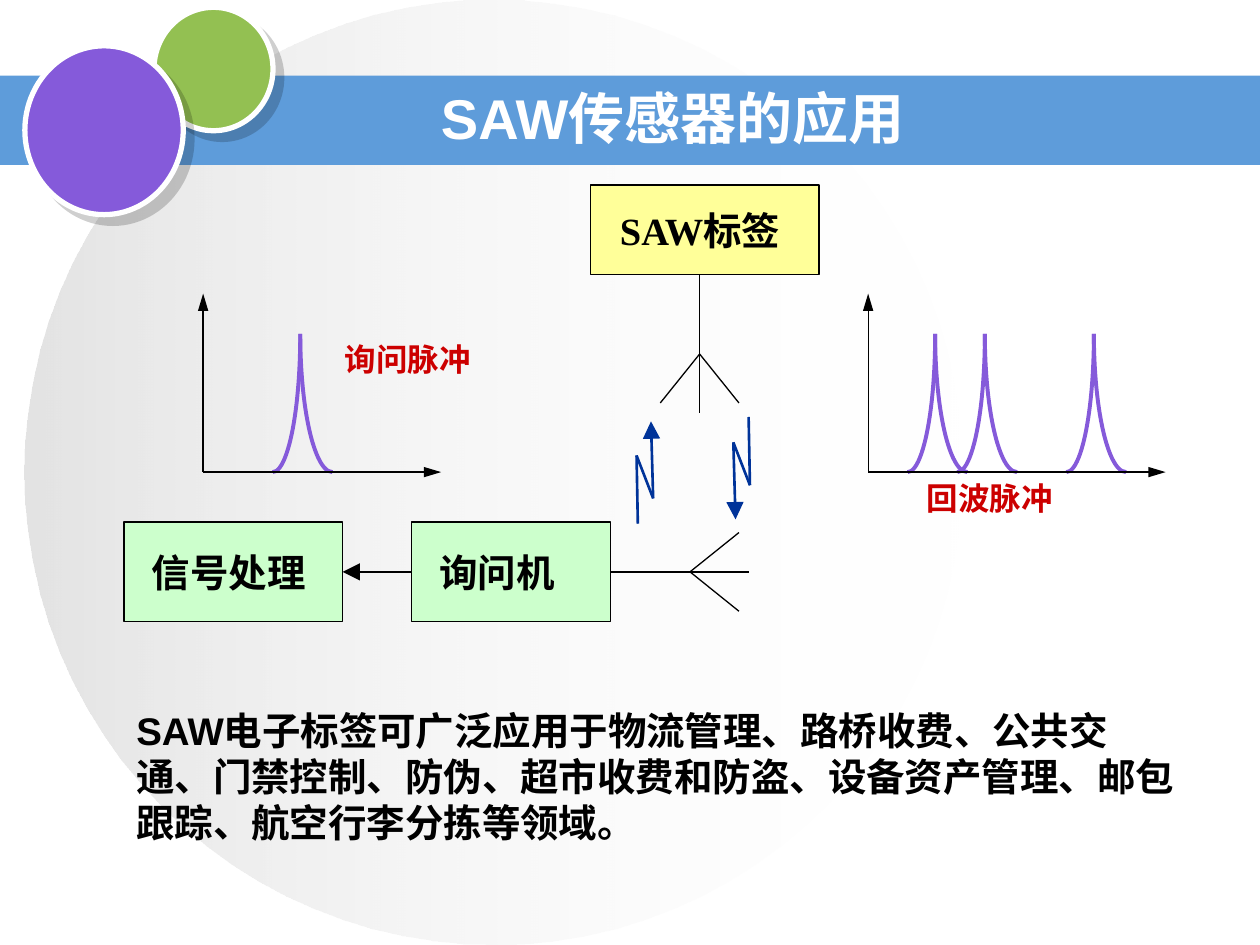
from dataclasses import dataclass

from lxml.etree import SubElement
from pptx import Presentation
from pptx.dml.color import RGBColor
from pptx.enum.shapes import MSO_CONNECTOR, MSO_SHAPE
from pptx.enum.text import MSO_ANCHOR as ANCHOR, PP_ALIGN as ALIGN
from pptx.oxml.ns import qn
from pptx.util import Pt


@dataclass(frozen=True)
class Theme:
    white: str = "FFFFFF"
    black: str = "000000"
    haze_light: str = "FEFEFE"
    haze_dark: str = "C0C0C0"
    band: str = "5E9CDA"
    green: str = "93C052"
    purple: str = "855ADA"
    device: str = "CCFFCC"
    tag: str = "FFFF99"
    signal: str = "003399"
    caption: str = "CC0000"
    font: str = "Arial"
    tag_font: str = "Times New Roman"
    title_size: float = 32
    body_size: float = 22
    caption_size: float = 18
    thin: float = 0.75
    signal_width: float = 1.5
    pulse_width: float = 2.25
    rim: float = 3


THEME = Theme()


def rgb(value):
    return RGBColor.from_string(value)


def write(shape, text, *, size=THEME.body_size, color=THEME.black, font=THEME.font,
          align=ALIGN.LEFT, anchor=ANCHOR.TOP, wrap=True, left=7.2, right=7.2):
    frame = shape.text_frame
    frame.word_wrap = wrap
    frame.vertical_anchor = anchor
    frame.margin_left, frame.margin_right = Pt(left), Pt(right)
    frame.margin_top = frame.margin_bottom = Pt(3.6)
    paragraph = frame.paragraphs[0]
    paragraph.alignment = align
    paragraph._p.get_or_add_pPr().set("hangingPunct", "0")
    run = paragraph.add_run()
    run.text = text
    run.font.name, run.font.size, run.font.bold = font, Pt(size), True
    run.font.color.rgb = rgb(color)


def add_text(slide, box, text, **style):
    write(slide.shapes.add_textbox(*map(Pt, box)), text, **style)


def add_shape(slide, kind, box, fill=None, line=None, width=THEME.thin):
    shape = slide.shapes.add_shape(kind, *map(Pt, box))
    shape.shadow.inherit = False
    if fill:
        shape.fill.solid()
        shape.fill.fore_color.rgb = rgb(fill)
    else:
        shape.fill.background()
    if line:
        shape.line.color.rgb = rgb(line)
        shape.line.width = Pt(width)
    else:
        shape.line.fill.background()
    return shape


def add_line(slide, start, end, color=THEME.black, width=THEME.thin, head=None):
    """head is the arrowhead's (width, length) at the end point."""
    line = slide.shapes.add_connector(MSO_CONNECTOR.STRAIGHT, *map(Pt, (*start, *end)))
    line.line.color.rgb = rgb(color)
    line.line.width = Pt(width)
    if head:
        SubElement(line.line._get_or_add_ln(), qn("a:tailEnd"),
                   type="triangle", w=head[0], len=head[1])
    SubElement(line._element.spPr, qn("a:effectLst"))
    return line


def add_alpha(color_element, percent):
    SubElement(color_element, qn("a:alpha"), val=str(percent * 1000))


def add_haze(slide, box):
    """Large disc that fades out from left to right."""
    haze = add_shape(slide, MSO_SHAPE.OVAL, box)
    haze.fill.gradient()
    haze.fill.gradient_angle = 180
    for stop, color in zip(haze.fill.gradient_stops, (THEME.haze_light, THEME.haze_dark)):
        stop.color.rgb = rgb(color)
    for element, percent in zip(haze._element.spPr.iter(qn("a:srgbClr")), (0, 44)):
        add_alpha(element, percent)


def add_bubble(slide, box, fill):
    bubble = add_shape(slide, MSO_SHAPE.OVAL, box, fill, THEME.white, THEME.rim)
    effects = bubble._element.spPr.find(qn("a:effectLst"))
    shadow = SubElement(effects, qn("a:outerShdw"), dist=str(Pt(7.1)),
                        dir=str(45 * 60000), algn="ctr", rotWithShape="0")
    add_alpha(SubElement(shadow, qn("a:srgbClr"), val=THEME.black), 19)


def add_header(slide, box, text):
    left, top, width, height = box
    add_shape(slide, MSO_SHAPE.RECTANGLE, box, THEME.band)
    add_bubble(slide, (left + 88, top - 39, 68, 70.5), THEME.green)
    add_bubble(slide, (left + 14.2, top - 17, 90.5, 96.5), THEME.purple)
    title = slide.shapes.title
    slide.shapes._spTree.append(title._element)  # bring in front of the band
    title.left, title.top = Pt(left + 162), Pt(top + 5)
    title.width, title.height = Pt(474), Pt(38)
    write(title, text, size=THEME.title_size, color=THEME.white,
          align=ALIGN.CENTER, anchor=ANCHOR.MIDDLE, right=36)


def add_device(slide, box, text, fill, offset, font=THEME.font):
    """offset widens the right inset, so the label sits left of centre."""
    device = add_shape(slide, MSO_SHAPE.RECTANGLE, box, fill, THEME.black)
    write(device, text, font=font, align=ALIGN.CENTER, anchor=ANCHOR.MIDDLE,
          wrap=False, right=7.2 + offset)
    return device


def add_antenna(slide, base, direction):
    (x, y), (dx, dy) = base, direction

    def point(along, across=0):
        return x + dx * along + dy * across, y + dy * along + dx * across

    for across in (-22.5, 22.5):
        add_line(slide, point(45.5), point(73.5, across))
    return add_line(slide, base, point(79))


def add_radio_signal(slide, start, sign):
    """Zigzag arrow: sign 1 goes up, -1 goes down."""
    x, y = start
    points = [(x + sign * dx, y + sign * dy)
              for dx, dy in ((0, 0), (-0.75, -39), (8.75, -14.5), (7.5, -58.5))]
    for number, (begin, end) in enumerate(zip(points, points[1:]), 1):
        add_line(slide, begin, end, THEME.signal, THEME.signal_width,
                 ("lg", "lg") if number == 3 else None)


def add_pulse(slide, peak, base, height=79):
    """Two quarter arcs that rise from the base line to a sharp peak."""
    quarter = 54  # 90 degrees in adjustment units
    for left, width, start in ((peak - 31.5, 31.5, 0), (peak, 36.8, quarter)):
        flank = add_shape(slide, MSO_SHAPE.ARC, (left, base - 2 * height, width, 2 * height),
                          line=THEME.purple, width=THEME.pulse_width)
        flank.adjustments[0], flank.adjustments[1] = start, start + quarter


def add_pulse_plot(slide, box, peaks):
    left, top, width, height = box
    origin = (left, top + height)
    for peak in peaks:
        add_pulse(slide, left + peak, origin[1])
    for end in ((left, top), (left + width, origin[1])):
        add_line(slide, origin, end, head=("med", "lg"))


def add_link_diagram(slide, box):
    left, top, _, height = box
    device_top = top + height - 57
    axis = device_top + 28.5
    processor = add_device(slide, (left, device_top, 125, 57), "信号处理", THEME.device, 5)
    reader = add_device(slide, (left + 164.5, device_top, 113.5, 57), "询问机", THEME.device, 16)
    add_device(slide, (left + 266.8, top, 130.5, 51), "SAW标签", THEME.tag, 5.5, THEME.tag_font)

    reply = add_line(slide, (left + 164.5, axis), (left + 125, axis), head=("lg", "lg"))
    reply.begin_connect(reader, 1)
    reply.end_connect(processor, 3)
    add_antenna(slide, (left + 278, axis), (1, 0)).begin_connect(reader, 3)
    add_antenna(slide, (left + 329, top + 51), (0, 1))
    add_radio_signal(slide, (left + 293.7, top + 193.5), 1)
    add_radio_signal(slide, (left + 357, top + 132.5), -1)

    caption = dict(size=THEME.caption_size, color=THEME.caption)
    add_pulse_plot(slide, (left + 45.3, top + 62, 136, 102), (55.5,))
    add_text(slide, (left + 119.2, top + 85.2, 136, 29), "询问脉冲", **caption)
    add_pulse_plot(slide, (left + 425.3, top + 62, 170, 102), (38.3, 66.7, 129))
    add_text(slide, (left + 431.2, top + 164.2, 136, 29), "回波脉冲", left=27.5, **caption)


def main():
    deck = Presentation()
    deck.slide_width, deck.slide_height = Pt(720), Pt(540)
    slide = deck.slides.add_slide(deck.slide_layouts[5])
    add_haze(slide, (14, 0, 536, 540))
    add_header(slide, (0, 43.2, 720, 51), "SAW传感器的应用")
    add_link_diagram(slide, (70.8, 105.8, 596, 249.5))
    add_text(slide, (70.8, 400.5, 612, 86.5),
             "SAW电子标签可广泛应用于物流管理、路桥收费、公共交通、门禁控制、防伪、"
             "超市收费和防盗、设备资产管理、邮包跟踪、航空行李分拣等领域。")
    deck.save("out.pptx")


if __name__ == "__main__":
    main()
